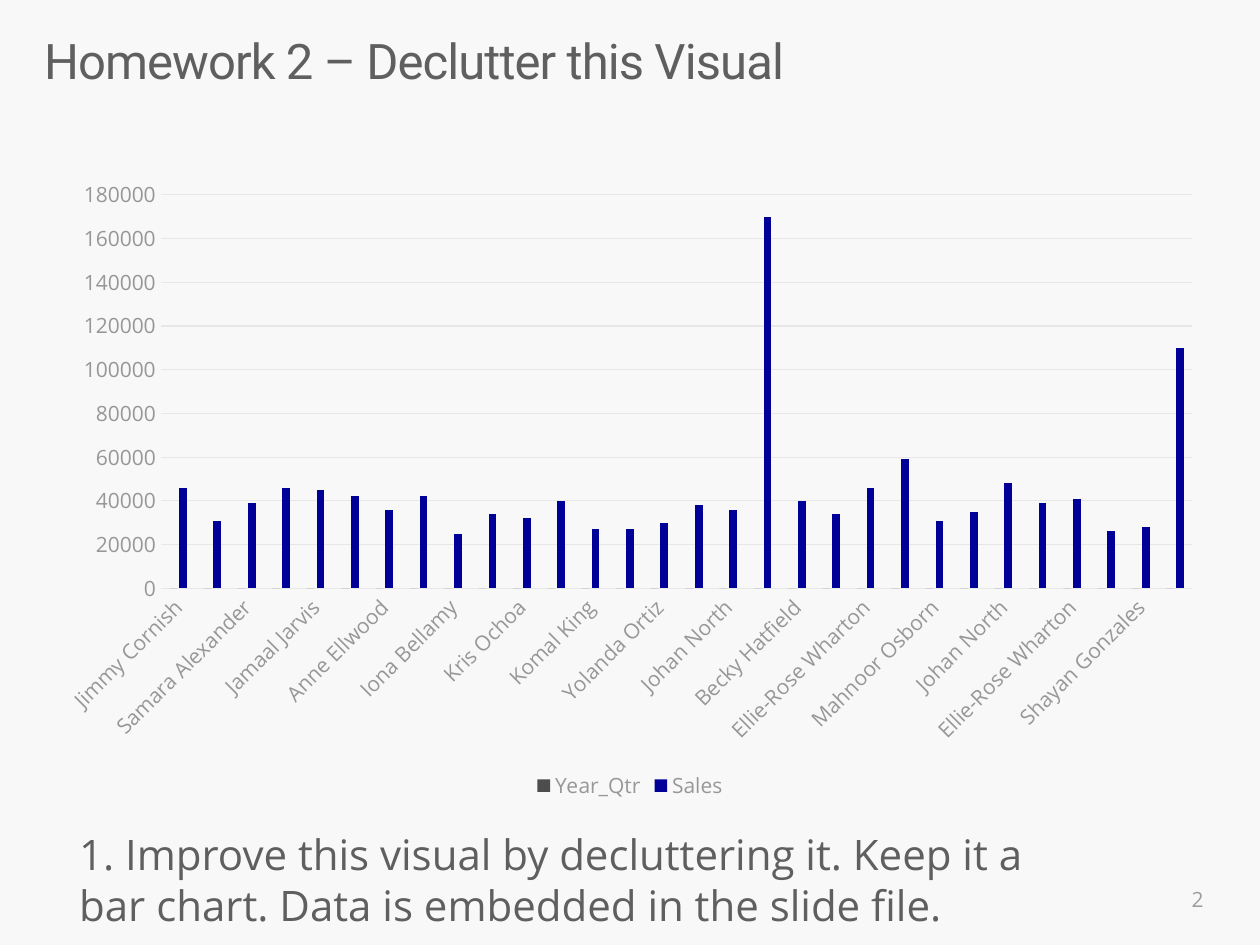
import pptx
import pptx.chart.data
import pptx.dml.color
import pptx.enum.chart
import pptx.enum.text
import pptx.util

TITLE = "Homework 2 – Declutter this Visual"
TASK = ("1. Improve this visual by decluttering it. Keep it a bar chart. "
        "Data is embedded in the slide file.")
PAGE_NUMBER = "2"
SALES = [
    ("Jimmy Cornish", 46000), ("Samara Alexander", 31000), ("Samara Alexander", 39000),
    ("Rian Read", 46000), ("Jamaal Jarvis", 45000), ("Ellie-Rose Wharton", 42000),
    ("Anne Ellwood", 36000), ("Ralph Pitts", 42000), ("Iona Bellamy", 25000),
    ("Ira Schmidt", 34000), ("Kris Ochoa", 32000), ("Becky Hatfield", 40000),
    ("Komal King", 27000), ("Mihai Wall", 27000), ("Yolanda Ortiz", 30000),
    ("Jamaal Jarvis", 38000), ("Johan North", 36000), ("Ellie-Rose Wharton", 170000),
    ("Becky Hatfield", 40000), ("Nikhil Salinas", 34000), ("Ellie-Rose Wharton", 46000),
    ("Ira Schmidt", 59000), ("Mahnoor Osborn", 31000), ("Myra Gilliam", 35000),
    ("Johan North", 48000), ("Rian Read", 39000), ("Ellie-Rose Wharton", 41000),
    ("Jimmy Cornish", 26000), ("Shayan Gonzales", 28000), ("Ellie-Rose Wharton", 110000),
]
THEME = {
    "background": "F8F8F8", "text": "5F5F5F", "label": "979797", "number": "9D9D9D",
    "grid": "E7E7E7", "bars": ("4D4D4D", "000099"),
    "heading": "Roboto", "body": "Open Sans",
    "title_size": 28, "task_size": 24, "label_size": 12, "chart_size": 10,
}
WIDTH, HEIGHT, MARGIN = 10, 7.5, 0.35
CONTENT_WIDTH = WIDTH - 2 * MARGIN


def color(name):
    return pptx.dml.color.RGBColor.from_string(THEME.get(name, name))


def inches(*lengths):
    return [pptx.util.Inches(length) for length in lengths]


def style(font, size, shade, face="body"):
    font.name = THEME[face]
    font.size = pptx.util.Pt(THEME[size])
    font.color.rgb = color(shade)
    font.bold = False


def style_line(line):
    line.color.rgb = color("grid")
    line.width = pptx.util.Pt(0.75)


def add_title(page):
    title = page.shapes.title
    title.left, title.top, title.width, title.height = inches(MARGIN, 0.31, CONTENT_WIDTH, 0.89)
    frame = title.text_frame
    frame.margin_left = frame.margin_top = frame.margin_right = frame.margin_bottom = 0
    frame.vertical_anchor = pptx.enum.text.MSO_ANCHOR.TOP
    frame.auto_size = pptx.enum.text.MSO_AUTO_SIZE.NONE
    para = frame.paragraphs[0]
    para.text = TITLE
    para.alignment = pptx.enum.text.PP_ALIGN.LEFT
    para.line_spacing = 0.86
    style(para.font, "title_size", "text", "heading")
    para.runs[0].font._element.set("spc", "-50")


def add_text(page, text, place, size, shade):
    box = page.shapes.add_textbox(*inches(*place))
    box.text_frame.word_wrap = True
    para = box.text_frame.paragraphs[0]
    para.text = text
    style(para.font, size, shade)
    return box.text_frame


def add_sales_chart(page):
    data = pptx.chart.data.CategoryChartData()
    data.categories = [person for person, _ in SALES]
    data.add_series("Year_Qtr", [0] * len(SALES))
    data.add_series("Sales", [amount for _, amount in SALES])
    chart = page.shapes.add_chart(
        pptx.enum.chart.XL_CHART_TYPE.COLUMN_CLUSTERED,
        *inches(MARGIN, 1.33, CONTENT_WIDTH, 5.06), data).chart
    style(chart.font, "chart_size", "text")
    chart.has_title = False

    plot = chart.plots[0]
    plot.gap_width, plot.overlap, plot.vary_by_categories = 219, -27, False
    for series, shade in zip(plot.series, THEME["bars"]):
        series.format.fill.solid()
        series.format.fill.fore_color.rgb = color(shade)

    names, amounts = chart.category_axis, chart.value_axis
    for axis in (names, amounts):
        axis.major_tick_mark = axis.minor_tick_mark = pptx.enum.chart.XL_TICK_MARK.NONE
        style(axis.tick_labels.font, "label_size", "label")
    style_line(names.format.line)
    names._element.txPr.bodyPr.set("rot", "-2700000")
    amounts.format.line.fill.background()
    amounts.minimum_scale, amounts.maximum_scale, amounts.major_unit = 0, 180000, 20000
    amounts.tick_labels.number_format = "General"
    amounts.tick_labels.number_format_is_linked = False
    style_line(amounts.major_gridlines.format.line)

    chart.has_legend = True
    chart.legend.position = pptx.enum.chart.XL_LEGEND_POSITION.BOTTOM
    chart.legend.include_in_layout = False
    style(chart.legend.font, "label_size", "label")


def main():
    deck = pptx.Presentation()
    deck.slide_width, deck.slide_height = inches(WIDTH, HEIGHT)
    page = deck.slides.add_slide(deck.slide_layouts.get_by_name("Title Only"))
    page.background.fill.solid()
    page.background.fill.fore_color.rgb = color("background")

    add_title(page)
    add_sales_chart(page)
    number = add_text(page, PAGE_NUMBER, (WIDTH - MARGIN - 2.25, 6.94, 2.25, 0.4),
                      "label_size", "number")
    number.vertical_anchor = pptx.enum.text.MSO_ANCHOR.MIDDLE
    number.paragraphs[0].alignment = pptx.enum.text.PP_ALIGN.RIGHT
    task = add_text(page, TASK, (0.53, 6.53, 7.88, 0.91), "task_size", "text")
    task.auto_size = pptx.enum.text.MSO_AUTO_SIZE.SHAPE_TO_FIT_TEXT
    deck.save("out.pptx")


if __name__ == "__main__":
    main()
